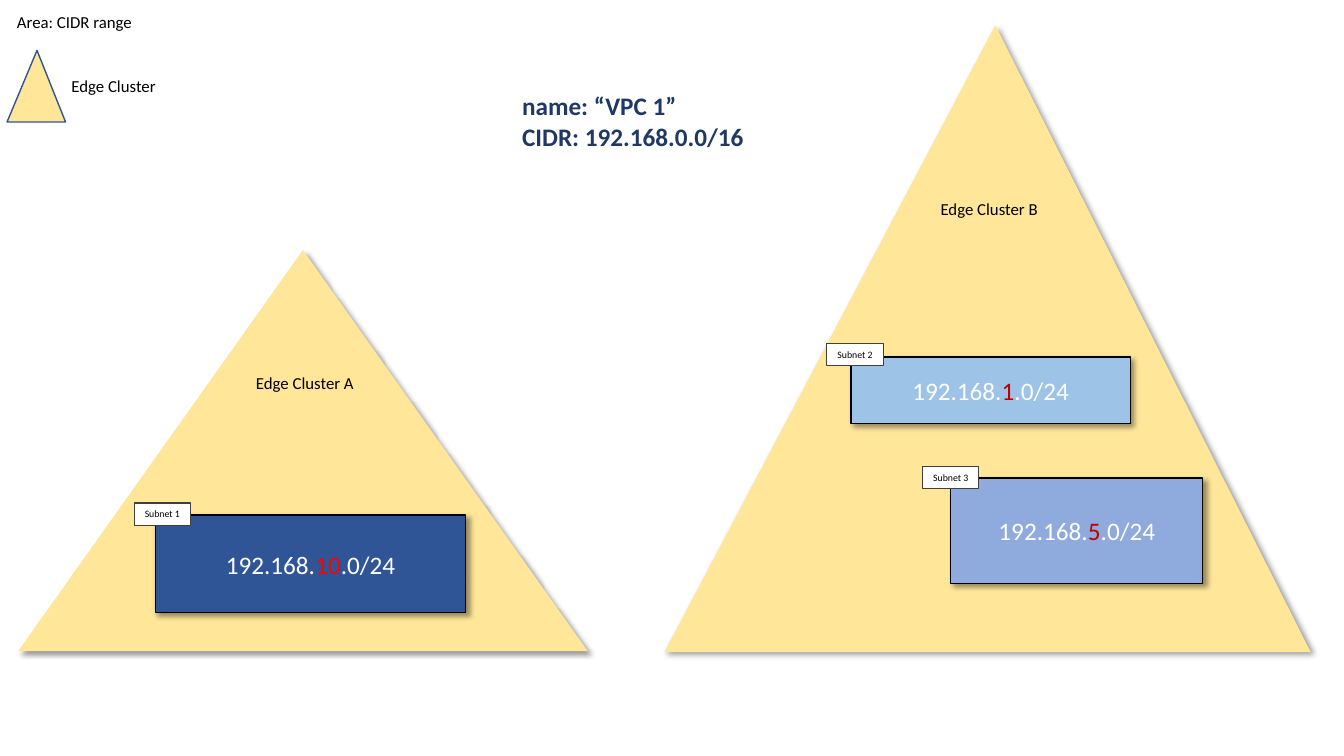
from lxml.etree import SubElement
from pptx import Presentation
from pptx.dml.color import RGBColor
from pptx.enum.shapes import MSO_SHAPE
from pptx.enum.text import MSO_ANCHOR, MSO_AUTO_SIZE, PP_ALIGN
from pptx.oxml.ns import qn
from pptx.util import Inches, Pt

# Content: boxes are left, top, width, height in inches
SAND = "FFE699"
HEADING = ["name: “VPC 1”", "CIDR: 192.168.0.0/16"]
CAPTIONS = [
    ("Area: CIDR range", (0.07, 0.07, 1.35, 0.3)),
    ("Edge Cluster", (0.61, 0.7, 1.05, 0.3)),
]
CLUSTERS = [  # name, triangle, apex position, label
    ("Edge Cluster A", (0.18, 2.48, 5.65, 3.98), 0.5, (2.44, 3.65, 1.18, 0.3)),
    ("Edge Cluster B", (6.59, 0.25, 6.41, 6.22), 0.512, (9.23, 1.92, 1.18, 0.3)),
]
SUBNETS = [  # name, third octet, octet colour, fill, box, tag corner
    ("Subnet 1", "10", "FF0000", "2F5597", (1.54, 5.11, 3.08, 0.97), (1.33, 4.99)),
    ("Subnet 2", "1", "C00000", "9DC3E6", (8.44, 3.54, 2.77, 0.66), (8.2, 3.41)),
    ("Subnet 3", "5", "C00000", "8FAADC", (9.43, 4.74, 2.5, 1.05), (9.15, 4.63)),
]
TAG_SIZE = (0.56, 0.22)


def rgb(value):
    return RGBColor.from_string(value)


def write(sp, lines, size=12, color="000000", bold=False, align=PP_ALIGN.LEFT,
          anchor=MSO_ANCHOR.TOP, wrap=True, grow=False):
    """Fill a shape with lines, each a list of (text, colour or None) runs."""
    tf = sp.text_frame
    tf.word_wrap = wrap
    tf.vertical_anchor = anchor
    tf.auto_size = MSO_AUTO_SIZE.SHAPE_TO_FIT_TEXT if grow else MSO_AUTO_SIZE.NONE
    for i, runs in enumerate(lines):
        p = tf.add_paragraph() if i else tf.paragraphs[0]
        p.alignment = align
        for text, tint in runs:
            r = p.add_run()
            r.text = text
            r.font.name = "Calibri"
            r.font.size = Pt(size)
            r.font.bold = bold
            r.font.color.rgb = rgb(tint or color)


def add_text(parent, lines, box, **style):
    sp = parent.shapes.add_textbox(*map(Inches, box))
    write(sp, [[(line, None)] for line in lines], grow=True, **style)


def add_shadow(sp):
    effects = sp._element.spPr.find(qn("a:effectLst"))
    shadow = SubElement(effects, qn("a:outerShdw"), blurRad=str(Pt(4)), dist=str(Pt(3)),
                        dir="2700000", algn="tl", rotWithShape="0")
    tint = SubElement(shadow, qn("a:srgbClr"), val="000000")
    SubElement(tint, qn("a:alpha"), val="40000")


def add_box(parent, kind, box, fill, line=None, width=1, shadow=False):
    sp = parent.shapes.add_shape(kind, *map(Inches, box))
    sp.shadow.inherit = False
    sp.fill.solid()
    sp.fill.fore_color.rgb = rgb(fill)
    if line:
        sp.line.color.rgb = rgb(line)
        sp.line.width = Pt(width)
    else:
        sp.line.fill.background()
    if shadow:
        add_shadow(sp)
    return sp


def add_triangle(parent, box, apex, **style):
    sp = add_box(parent, MSO_SHAPE.ISOSCELES_TRIANGLE, box, SAND, **style)
    sp.adjustments[0] = apex


def main():
    prs = Presentation()
    prs.slide_width, prs.slide_height = Inches(13.33), Inches(7.5)
    s = prs.slides.add_slide(prs.slide_layouts[6])

    # Heading and legend
    add_text(s, HEADING, (5.08, 0.85, 2.75, 0.71), size=18, color="203864", bold=True)
    add_triangle(s, (0.07, 0.5, 0.58, 0.71), 0.512, line="325491")
    for caption, box in CAPTIONS:
        add_text(s, [caption], box, wrap=False)

    # Clusters
    for name, box, apex, label_box in CLUSTERS:
        group = s.shapes.add_group_shape()
        add_triangle(group, box, apex, shadow=True)
        add_text(group, [name], label_box, wrap=False)

    # Subnets with their name tags
    for name, octet, octet_color, fill, box, corner in SUBNETS:
        group = s.shapes.add_group_shape()
        sp = add_box(group, MSO_SHAPE.RECTANGLE, box, fill, line="000000", shadow=True)
        write(sp, [[("192.168.", None), (octet, octet_color), (".0/24", None)]], size=18,
              color="FFFFFF", align=PP_ALIGN.CENTER, anchor=MSO_ANCHOR.MIDDLE)
        tag = add_box(group, MSO_SHAPE.RECTANGLE, corner + TAG_SIZE, "FFFFFF",
                      line="404040", width=0.75)
        tag.text_frame.margin_left = tag.text_frame.margin_right = Inches(0.05)
        write(tag, [[(name, None)]], size=7, align=PP_ALIGN.CENTER, grow=True)

    prs.save("out.pptx")


if __name__ == "__main__":
    main()
